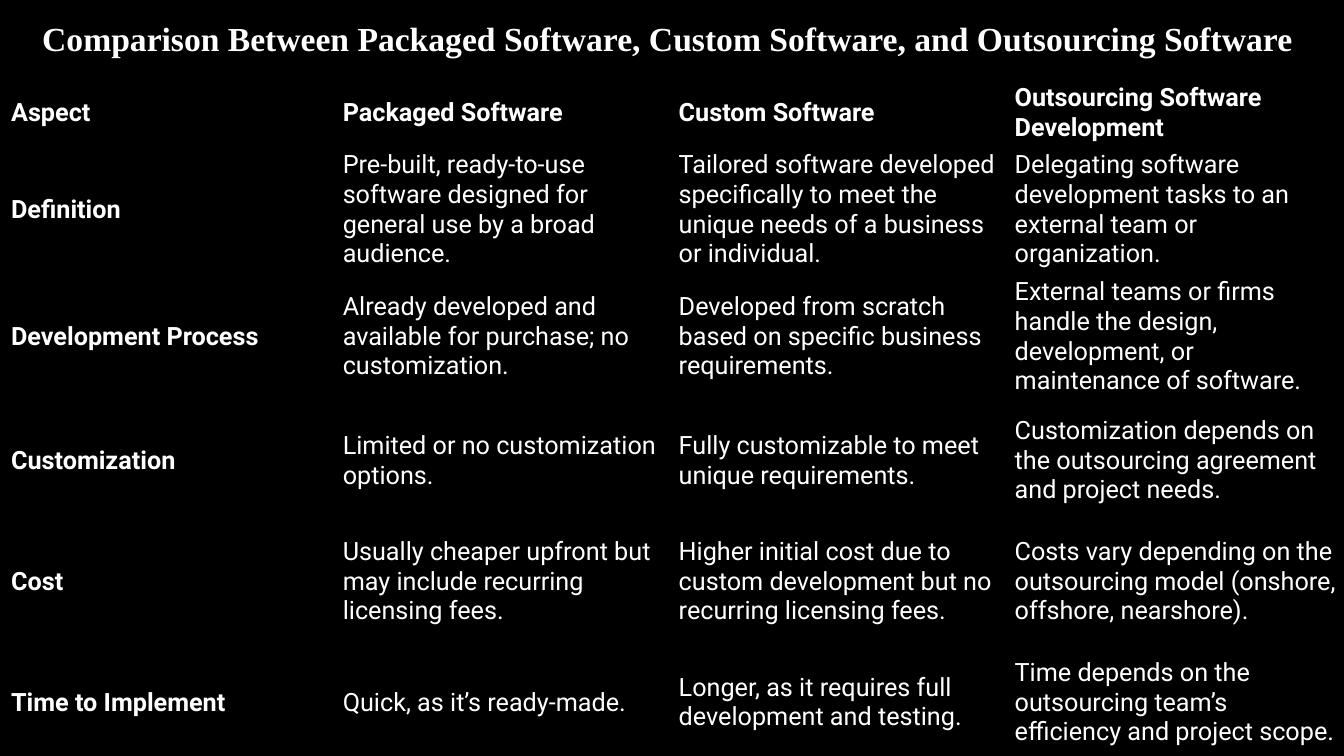
from pptx import Presentation
from pptx.dml.color import RGBColor
from pptx.enum.text import MSO_ANCHOR as Anchor, PP_ALIGN as Align
from pptx.oxml.ns import qn
from pptx.util import Inches, Pt

W, H = 13.33, 7.5
LABEL_W, COL_W = 3.29, W / 4
HEAD_H, ROW_H = 0.65, 1.2
NO_STYLE = "{2D5ABB26-0587-4C30-8999-92F81FD0307C}"

ROWS = [
    ["Aspect", "Packaged Software", "Custom Software",
     "Outsourcing Software Development"],
    ["Definition",
     "Pre-built, ready-to-use software designed for general use by a broad audience.",
     "Tailored software developed specifically to meet the unique needs of a business or individual.",
     "Delegating software development tasks to an external team or organization."],
    ["Development Process",
     "Already developed and available for purchase; no customization.",
     "Developed from scratch based on specific business requirements.",
     "External teams or firms handle the design, development, or maintenance of software."],
    ["Customization",
     "Limited or no customization options.",
     "Fully customizable to meet unique requirements.",
     "Customization depends on the outsourcing agreement and project needs."],
    ["Cost",
     "Usually cheaper upfront but may include recurring licensing fees.",
     "Higher initial cost due to custom development but no recurring licensing fees.",
     "Costs vary depending on the outsourcing model (onshore, offshore, nearshore)."],
    ["Time to Implement",
     "Quick, as it’s ready-made.",
     "Longer, as it requires full development and testing.",
     "Time depends on the outsourcing team’s efficiency and project scope."],
]


def color(hex_code):
    return RGBColor.from_string(hex_code)


def style(p, name, size, bold):
    f = p.font
    f.name, f.size, f.bold = name, Pt(size), bold
    f.color.rgb = color("FFFFFF")


prs = Presentation()
prs.slide_width, prs.slide_height = Inches(W), Inches(H)
s = prs.slides.add_slide(prs.slide_layouts[6])
s.background.fill.solid()
s.background.fill.fore_color.rgb = color("000000")

# Title
tf = s.shapes.add_textbox(0, Inches(0.05), Inches(W), Inches(1.01)).text_frame
tf.word_wrap = True
tf.vertical_anchor = Anchor.TOP
tf.margin_top, tf.margin_right = Inches(0.13), Inches(0.19)
p = tf.paragraphs[0]
p.text = "Comparison Between Packaged Software, Custom Software, and Outsourcing Software"
p.alignment = Align.CENTER
style(p, "Times New Roman", 24, True)

# Comparison table without grid or banding
frame = s.shapes.add_table(len(ROWS), len(ROWS[0]), Inches(0.04), Inches(0.79),
                           Inches(LABEL_W + 3 * COL_W), Inches(HEAD_H + 5 * ROW_H))
table = frame.table
table.first_row = table.horz_banding = False
table._tbl.tblPr.find(qn("a:tableStyleId")).text = NO_STYLE
for c, col in enumerate(table.columns):
    col.width = Inches(COL_W if c else LABEL_W)

for r, texts in enumerate(ROWS):
    table.rows[r].height = Inches(ROW_H if r else HEAD_H)
    for c, text in enumerate(texts):
        cell = table.cell(r, c)
        cell.fill.background()
        cell.vertical_anchor = Anchor.MIDDLE
        cell.margin_left = cell.margin_right = Inches(0.07)
        cell.margin_top = cell.margin_bottom = Inches(0.03)
        cell.text = text
        style(cell.text_frame.paragraphs[0], "Roboto", 18, r == 0 or c == 0)

prs.save("out.pptx")
